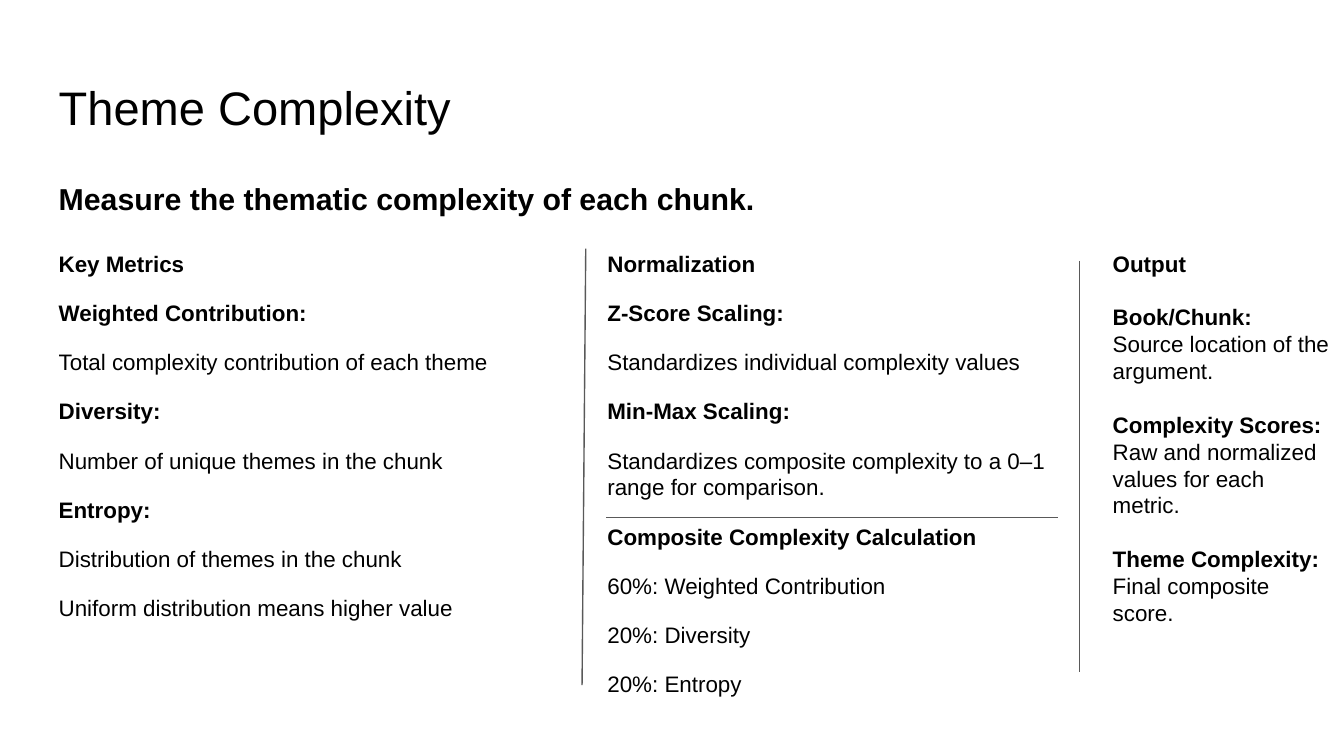
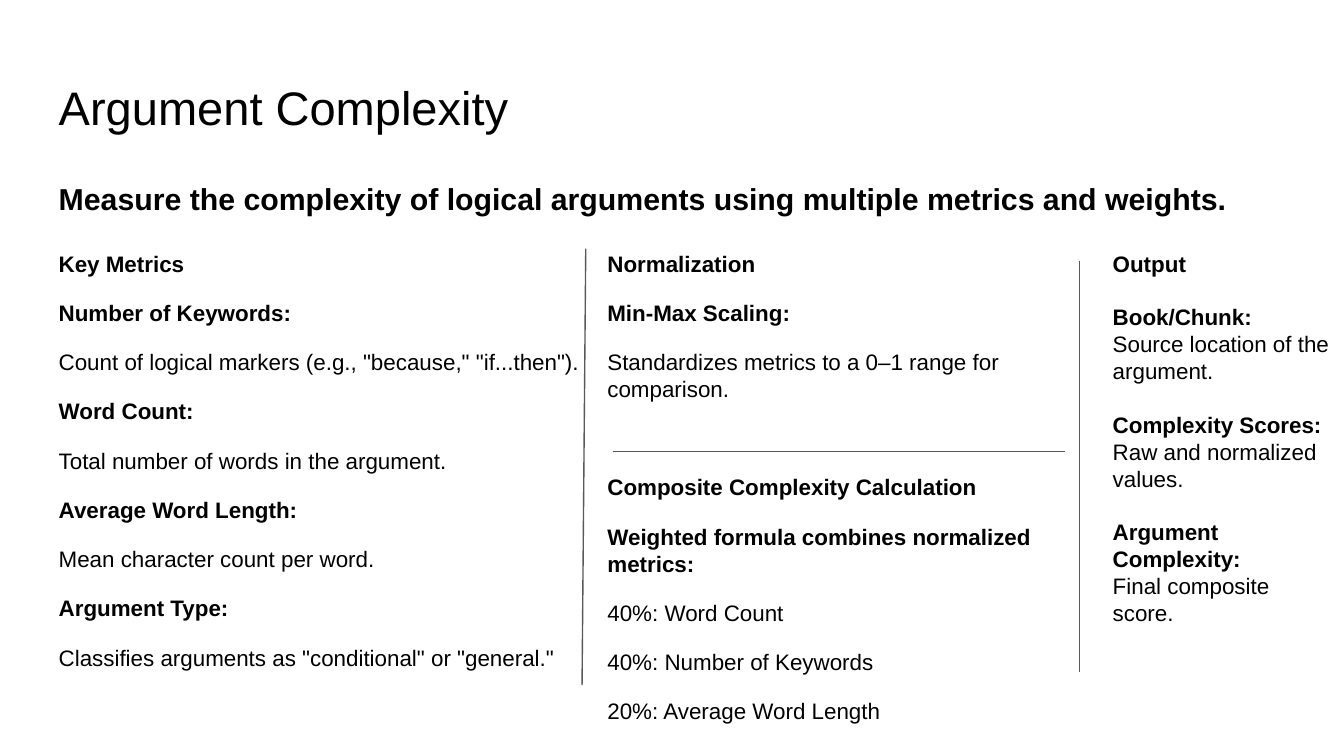
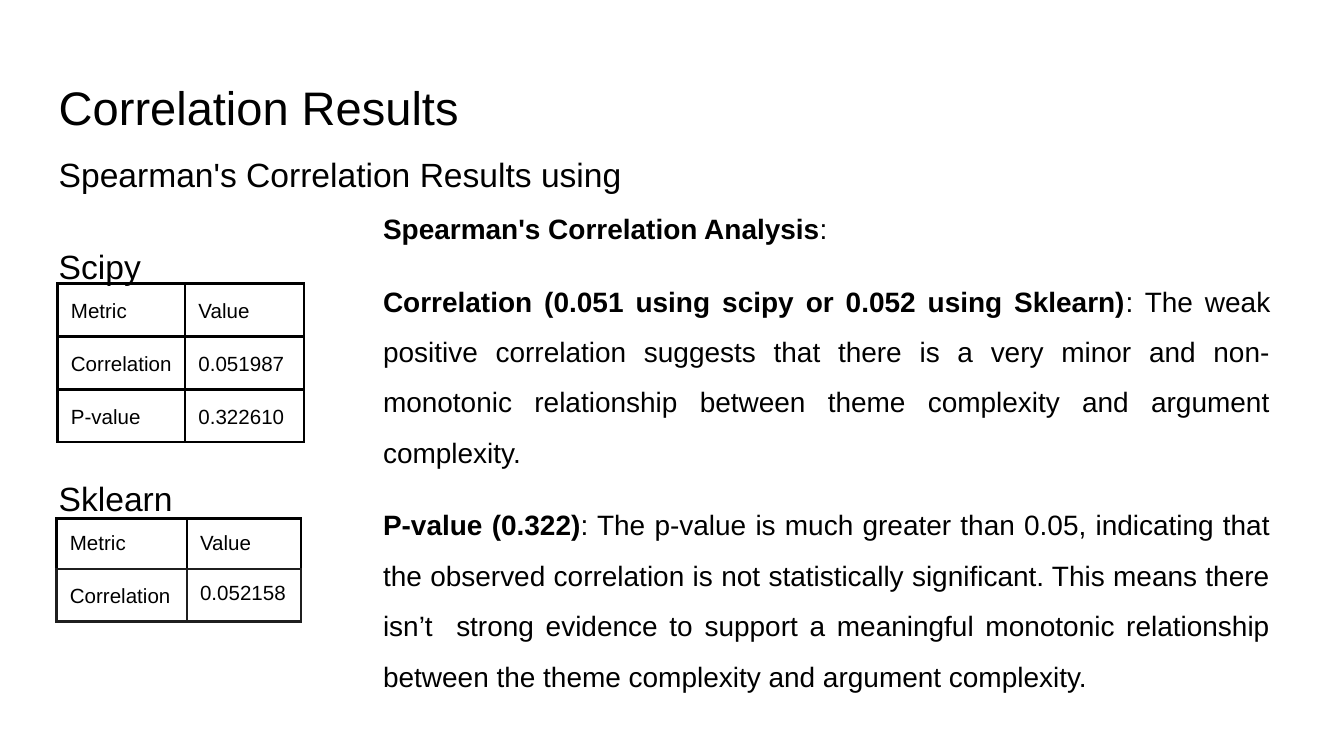
from dataclasses import dataclass

import lxml.etree
import pptx
import pptx.dml.color
import pptx.enum.shapes
import pptx.enum.text
import pptx.oxml
import pptx.oxml.ns
import pptx.util
from pptx.util import Cm, Pt

FONT = "Arial"
BLACK, RULE_GREY, DARK = "000000", "595959", "1F1F1F"
INSET = Cm(0.25)
LEFT, FULL_WIDTH = 0.86, 23.67
COLUMN_TOP, COLUMN_HEIGHT = 4.47, 8.13
BLANK_LINE = 14.4  # height of one 12 pt line


@dataclass(frozen=True)
class Box:
    left: float
    top: float
    width: float
    height: float


@dataclass(frozen=True)
class Para:
    """One paragraph; text between ** marks is bold."""
    text: str
    before: float = 0


@dataclass(frozen=True)
class Style:
    size: float
    spacing: float = 1.0
    align: pptx.enum.text.PP_ALIGN = pptx.enum.text.PP_ALIGN.LEFT


@dataclass(frozen=True)
class Rule:
    x1: float
    y1: float
    x2: float
    y2: float


@dataclass(frozen=True)
class Metric:
    """A table cell with its line spacing and its border colours."""
    text: str
    spacing: float = 1.0
    border: str = BLACK
    bottom: str = BLACK


@dataclass(frozen=True)
class ComplexitySlide:
    title: str
    summary: str
    metrics: list[Para]
    normalization: list[Para]
    output: list[Para]
    formula_rule: Rule


TITLE_BOX = Box(LEFT, 1.24, FULL_WIDTH, 1.6)
SUMMARY_BOX = Box(LEFT, 3.2, FULL_WIDTH, 2.31)
METRICS_BOX = Box(LEFT, COLUMN_TOP, 12.12, COLUMN_HEIGHT)
NORMALIZATION_BOX = Box(11.23, COLUMN_TOP, 9.58, COLUMN_HEIGHT)
OUTPUT_BOX = Box(20.78, COLUMN_TOP, 4.62, COLUMN_HEIGHT)
COLUMN_RULES = [Rule(11.07, 4.7, 11, 12.95), Rule(20.4, 4.93, 20.4, 12.7)]

TITLE = Style(25.2)
SUMMARY = Style(16.2, 0.95)
COLUMN = Style(12)
LIBRARIES = Style(18, 1.15)
ANALYSIS = Style(15, 1.5, pptx.enum.text.PP_ALIGN.JUSTIFY)


# Shared helpers
def rgb(color: str) -> pptx.dml.color.RGBColor:
    return pptx.dml.color.RGBColor.from_string(color)


def spaced(*texts: str, before: float = 12) -> list[Para]:
    return [Para(text, before) for text in texts]


def write_para(paragraph, para: Para, style: Style) -> None:
    paragraph.alignment = style.align
    paragraph.line_spacing = style.spacing
    paragraph.space_before = Pt(para.before)
    paragraph.font.name = FONT
    paragraph.font.size = Pt(style.size)
    paragraph.font.color.rgb = rgb(BLACK)
    for index, span in enumerate(para.text.split("**")):
        if span:
            run = paragraph.add_run()
            run.text = span
            run.font.bold = index % 2 == 1


def fill_text(shape, paras: list[Para], style: Style) -> None:
    frame = shape.text_frame
    frame.word_wrap = True
    frame.auto_size = pptx.enum.text.MSO_AUTO_SIZE.NONE
    frame.vertical_anchor = pptx.enum.text.MSO_ANCHOR.TOP
    frame.margin_left = frame.margin_right = INSET
    frame.margin_top = frame.margin_bottom = INSET
    for index, para in enumerate(paras):
        paragraph = frame.add_paragraph() if index else frame.paragraphs[0]
        write_para(paragraph, para, style)


def fill_placeholder(shape, box: Box, paras: list[Para], style: Style) -> None:
    shape.left, shape.top = Cm(box.left), Cm(box.top)
    shape.width, shape.height = Cm(box.width), Cm(box.height)
    fill_text(shape, paras, style)
    for paragraph in shape.text_frame.paragraphs:
        properties = paragraph._p.get_or_add_pPr()
        properties.set("marL", "0")
        properties.set("indent", "0")
        bullet = lxml.etree.Element(pptx.oxml.ns.qn("a:buNone"))
        properties.find(pptx.oxml.ns.qn("a:defRPr")).addprevious(bullet)


def add_text(slide, box: Box, paras: list[Para], style: Style) -> None:
    shape = slide.shapes.add_textbox(
        Cm(box.left), Cm(box.top), Cm(box.width), Cm(box.height))
    fill_text(shape, paras, style)


def add_rule(slide, rule: Rule) -> None:
    line = slide.shapes.add_connector(
        pptx.enum.shapes.MSO_CONNECTOR.STRAIGHT,
        Cm(rule.x1), Cm(rule.y1), Cm(rule.x2), Cm(rule.y2))
    line.line.color.rgb = rgb(RULE_GREY)
    line.line.width = Pt(0.75)
    lxml.etree.SubElement(line._element.spPr, pptx.oxml.ns.qn("a:effectLst"))


def set_borders(cell, metric: Metric) -> None:
    properties = cell._tc.get_or_add_tcPr()
    for side in "LRTB":
        color = metric.bottom if side == "B" else metric.border
        properties.append(pptx.oxml.parse_xml(
            f'<a:ln{side} {pptx.oxml.ns.nsdecls("a")} w="{Pt(1.5)}">'
            f'<a:solidFill><a:srgbClr val="{color}"/></a:solidFill></a:ln{side}>'))


def add_metrics_table(slide, left: float, top: float, widths: list[float],
                      heights: list[float], rows: list[list[Metric]]) -> None:
    table = slide.shapes.add_table(
        len(rows), len(widths), Cm(left), Cm(top),
        Cm(sum(widths)), Cm(sum(heights))).table
    table.first_row = table.horz_banding = False
    for column, width in zip(table.columns, widths):
        column.width = Cm(width)
    for row, height, metrics in zip(table.rows, heights, rows):
        row.height = Cm(height)
        for cell, metric in zip(row.cells, metrics):
            cell.margin_left = cell.margin_right = INSET
            cell.margin_top = cell.margin_bottom = INSET
            write_para(cell.text_frame.paragraphs[0], Para(metric.text),
                       Style(11, metric.spacing))
            set_borders(cell, metric)
            cell.fill.background()


def add_titled_slide(deck, title: str, body_box: Box, body: list[Para],
                     body_style: Style):
    slide = deck.slides.add_slide(deck.slide_layouts[1])
    slide.background.fill.solid()
    slide.background.fill.fore_color.rgb = rgb("FFFFFF")
    fill_placeholder(slide.shapes.title, TITLE_BOX, [Para(title)], TITLE)
    fill_placeholder(slide.placeholders[1], body_box, body, body_style)
    return slide


# Complexity slides
def output_column(scores: str, result: str) -> list[Para]:
    return [
        Para("**Output**"),
        Para("**Book/Chunk:**", BLANK_LINE),
        Para("Source location of the argument."),
        Para(f"**Complexity Scores: **{scores}", BLANK_LINE),
        Para(f"**{result}:**", BLANK_LINE),
        Para("Final composite score."),
    ]


COMPLEXITY_SLIDES = [
    ComplexitySlide(
        "Theme Complexity",
        "**Measure the thematic complexity of each chunk.**",
        spaced("**Key Metrics**",
               "**Weighted Contribution:**",
               "Total complexity contribution of each theme",
               "**Diversity:**",
               "Number of unique themes in the chunk",
               "**Entropy:**",
               "Distribution of themes in the chunk",
               "Uniform distribution means higher value"),
        spaced("**Normalization**",
               "**Z-Score Scaling:**",
               "Standardizes individual complexity values",
               "**Min-Max Scaling:**",
               "Standardizes composite complexity to a 0–1 range for comparison.",
               "**Composite Complexity Calculation**",
               "60%: Weighted Contribution",
               "20%: Diversity",
               "20%: Entropy"),
        output_column("Raw and normalized values for each metric.",
                      "Theme Complexity"),
        Rule(11.46, 9.78, 19.99, 9.78),
    ),
    ComplexitySlide(
        "Argument Complexity",
        "**Measure the complexity of logical arguments using multiple metrics "
        "and weights.**",
        spaced("**Key Metrics**",
               "**Number of Keywords:**",
               'Count of logical markers (e.g., "because," "if...then").',
               "**Word Count:**",
               "Total number of words in the argument.",
               "**Average Word Length:**",
               "Mean character count per word.",
               "**Argument Type:**",
               'Classifies arguments as "conditional" or "general."'),
        spaced("**Normalization**",
               "**Min-Max Scaling:**",
               "Standardizes metrics to a 0–1 range for comparison.")
        + spaced("**Composite Complexity Calculation**", before=24 + BLANK_LINE)
        + spaced("**Weighted formula combines normalized metrics:**",
                 "40%: Word Count",
                 "40%: Number of Keywords",
                 "20%: Average Word Length"),
        output_column("Raw and normalized values.", "Argument Complexity"),
        Rule(11.58, 8.53, 20.12, 8.53),
    ),
]


def add_complexity_slide(deck, content: ComplexitySlide) -> None:
    slide = add_titled_slide(deck, content.title, SUMMARY_BOX,
                             [Para(content.summary)], SUMMARY)
    add_text(slide, METRICS_BOX, content.metrics, COLUMN)
    add_text(slide, NORMALIZATION_BOX, content.normalization, COLUMN)
    for rule in [*COLUMN_RULES, content.formula_rule]:
        add_rule(slide, rule)
    add_text(slide, OUTPUT_BOX, content.output, COLUMN)


# Correlation results
SCIPY_ROWS = [
    [Metric(name, 1.15), Metric(value, 1.15)]
    for name, value in [("Metric", "Value"), ("Correlation", "0.051987"),
                        ("P-value", "0.322610")]
]
SKLEARN_ROWS = [
    [Metric("Metric", bottom=DARK), Metric("Value", bottom=DARK)],
    [Metric("Correlation", 1.15, DARK, DARK),
     Metric("0.052158", 1.0, DARK, DARK)],
]
FINDINGS = spaced(
    "**Spearman's Correlation Analysis**:",
    "**Correlation (0.051 using scipy or 0.052 using Sklearn)**: The weak "
    "positive correlation suggests that there is a very minor and "
    "non-monotonic relationship between theme complexity and argument "
    "complexity.",
    "**P-value (0.322)**: The p-value is much greater than 0.05, indicating "
    "that the observed correlation is not statistically significant. This "
    "means there isn’t  strong evidence to support a meaningful monotonic "
    "relationship between the theme complexity and argument complexity.",
)


def add_correlation_slide(deck) -> None:
    libraries = [Para("Spearman's Correlation Results using"),
                 Para("Scipy", 24.8), Para("Sklearn", 4 * 24.8)]
    slide = add_titled_slide(deck, "Correlation Results",
                             Box(LEFT, 2.54, FULL_WIDTH, 10.77),
                             libraries, LIBRARIES)
    add_metrics_table(slide, 1.09, 5.36, [2.41, 2.24], [1, 1, 1], SCIPY_ROWS)
    add_metrics_table(slide, 1.07, 9.8, [2.46, 2.16], [0.95, 1], SKLEARN_ROWS)
    add_text(slide, Box(6.99, 3.43, 17.27, 9.88), FINDINGS, ANALYSIS)


def main() -> None:
    deck = pptx.Presentation()
    deck.slide_width, deck.slide_height = Cm(25.4), Cm(14.29)
    for content in COMPLEXITY_SLIDES:
        add_complexity_slide(deck, content)
    add_correlation_slide(deck)
    deck.save("out.pptx")


if __name__ == "__main__":
    main()
